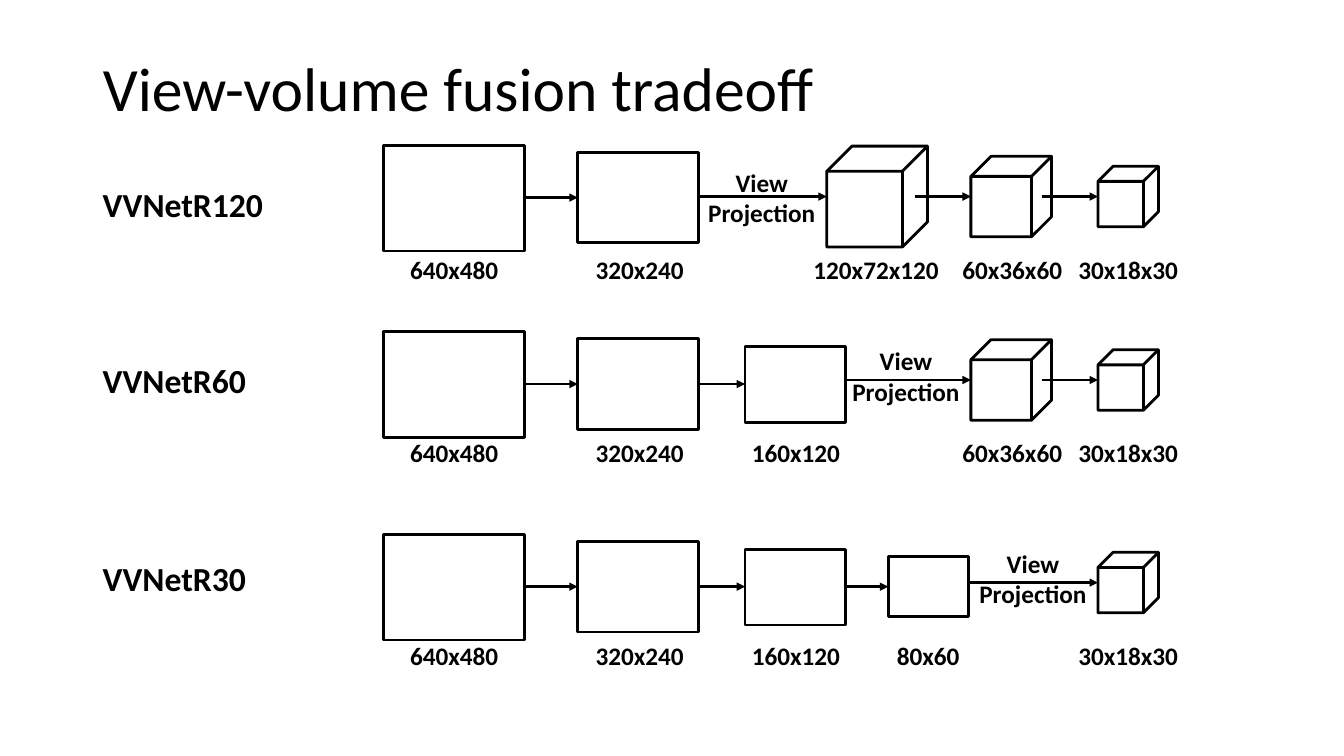
from dataclasses import dataclass
from itertools import pairwise

from lxml import etree
from pptx import Presentation
from pptx.dml.color import RGBColor
from pptx.enum.shapes import MSO_CONNECTOR, MSO_SHAPE
from pptx.enum.text import MSO_ANCHOR, MSO_AUTO_SIZE, PP_ALIGN
from pptx.oxml.ns import qn
from pptx.shapes.autoshape import Shape
from pptx.shapes.shapetree import GroupShapes
from pptx.slide import Slide
from pptx.text.text import TextFrame
from pptx.util import Pt

PX = 9144  # EMU in one px, 100 px to the inch
RECT, CUBE = MSO_SHAPE.RECTANGLE, MSO_SHAPE.CUBE
STRAIGHT = MSO_CONNECTOR.STRAIGHT
LEFT, CENTER = PP_ALIGN.LEFT, PP_ALIGN.CENTER
MIDDLE = MSO_ANCHOR.MIDDLE
FIT, FIXED = MSO_AUTO_SIZE.SHAPE_TO_FIT_TEXT, MSO_AUTO_SIZE.NONE

COLORS = {"ink": "000000"}
INK = RGBColor.from_string(COLORS["ink"])
FORMATS = {
    "title": {"name": "Calibri", "size": Pt(44), "bold": False},
    "network": {"name": "Calibri", "size": Pt(24), "bold": True},
    "caption": {"name": "Calibri", "size": Pt(18), "bold": True},
}
LINE_WIDTH = Pt(2)
MARGIN = 92
CAPTION_HEIGHT = 40


@dataclass(frozen=True)
class Stage:
    """A feature map (rectangle) or feature volume (cube)."""
    resolution: str
    left: int
    width: int
    height: int
    caption_mid: int
    caption_width: int
    is_volume: bool = False

    @property
    def right(self) -> int:
        return self.left + self.width


@dataclass(frozen=True)
class Network:
    name: str
    name_top: int
    name_width: int
    view_mid: int
    volume_mid: int
    projection_top: int
    caption_top: int
    stages: tuple[Stage, ...]


VIEW_640 = Stage("640x480", 380, 140, 105, 450, 109)
VIEW_320 = Stage("320x240", 573, 120, 90, 634, 109)
VIEW_160 = Stage("160x120", 739, 100, 75, 789, 109)
VIEW_80 = Stage("80x60", 881, 80, 60, 920, 83)
VOLUME_120 = Stage("120x72x120", 820, 100, 100, 869, 146, True)
VOLUME_60 = Stage("60x36x60", 963, 80, 80, 1004, 120, True)
VOLUME_30 = Stage("30x18x30", 1089, 60, 60, 1119, 120, True)

NETWORKS = (
    Network("VVNetR120", 178, 181, 196, 195, 161, 247,
            (VIEW_640, VIEW_320, VOLUME_120, VOLUME_60, VOLUME_30)),
    Network("VVNetR60", 352, 164, 381, 377, 338, 429,
            (VIEW_640, VIEW_320, VIEW_160, VOLUME_60, VOLUME_30)),
    Network("VVNetR30", 549, 164, 582, 578, 539, 630,
            (VIEW_640, VIEW_320, VIEW_160, VIEW_80, VOLUME_30)),
)


def write(frame: TextFrame, text: str, style: str, align: PP_ALIGN) -> None:
    frame.text = text
    for paragraph in frame.paragraphs:
        paragraph.alignment = align
        for attribute, value in FORMATS[style].items():
            setattr(paragraph.font, attribute, value)
        paragraph.font.color.rgb = INK


def place(shape: Shape, left: int, top: int, width: int, height: int) -> None:
    shape.left, shape.top = left * PX, top * PX
    shape.width, shape.height = width * PX, height * PX


def add_label(shapes: GroupShapes, text: str, left: int, top: int, width: int,
              height: int, style: str, align: PP_ALIGN) -> None:
    label = shapes.add_textbox(left * PX, top * PX, width * PX, height * PX)
    label.text_frame.word_wrap = False
    label.text_frame.auto_size = FIT
    write(label.text_frame, text, style, align)


def add_arrow(shapes: GroupShapes, start: int, end: int, y: int) -> None:
    arrow = shapes.add_connector(STRAIGHT, start * PX, y * PX, end * PX, y * PX)
    arrow.line.color.rgb = INK
    arrow.line.width = LINE_WIDTH
    line = arrow.line._get_or_add_ln()
    etree.SubElement(line, qn("a:tailEnd"), type="triangle")
    etree.SubElement(line.getparent(), qn("a:effectLst"))


def add_stage(shapes: GroupShapes, stage: Stage, network: Network) -> None:
    middle = network.volume_mid if stage.is_volume else network.view_mid
    block = shapes.add_shape(CUBE if stage.is_volume else RECT, 0, 0, 0, 0)
    place(block, stage.left, middle - stage.height // 2, stage.width, stage.height)
    block.fill.background()
    block.line.color.rgb = INK
    block.line.width = LINE_WIDTH
    block.shadow.inherit = False
    add_label(shapes, stage.resolution, stage.caption_mid - stage.caption_width // 2,
              network.caption_top, stage.caption_width, CAPTION_HEIGHT,
              "caption", CENTER)


def add_link(shapes: GroupShapes, source: Stage, target: Stage,
             network: Network) -> None:
    # Arrows out of a volume start inside its side face
    start = source.right - source.width // 8 if source.is_volume else source.right
    y = network.volume_mid if target.is_volume else network.view_mid
    add_arrow(shapes, start, target.left, y)
    if target.is_volume and not source.is_volume:
        add_label(shapes, "View\nProjection", target.left - 128,
                  network.projection_top, 127, 71, "caption", CENTER)


def add_network(slide: Slide, network: Network) -> None:
    add_label(slide.shapes, network.name, MARGIN, network.name_top,
              network.name_width, 50, "network", LEFT)
    pipeline = slide.shapes.add_group_shape().shapes
    for stage in network.stages:
        add_stage(pipeline, stage, network)
    for source, target in pairwise(network.stages):
        add_link(pipeline, source, target, network)


def main() -> None:
    deck = Presentation()
    deck.slide_width, deck.slide_height = 1333 * PX, 750 * PX
    slide = deck.slides.add_slide(deck.slide_layouts[5])

    # Title
    heading = slide.shapes.title
    place(heading, MARGIN, 40, 1150, 101)
    write(heading.text_frame, "View-volume fusion tradeoff", "title", LEFT)
    heading.text_frame.vertical_anchor = MIDDLE
    heading.text_frame.auto_size = FIXED
    heading.text_frame.paragraphs[0].line_spacing = 0.9

    # One pipeline per network
    for network in NETWORKS:
        add_network(slide, network)

    deck.save("out.pptx")


if __name__ == "__main__":
    main()
